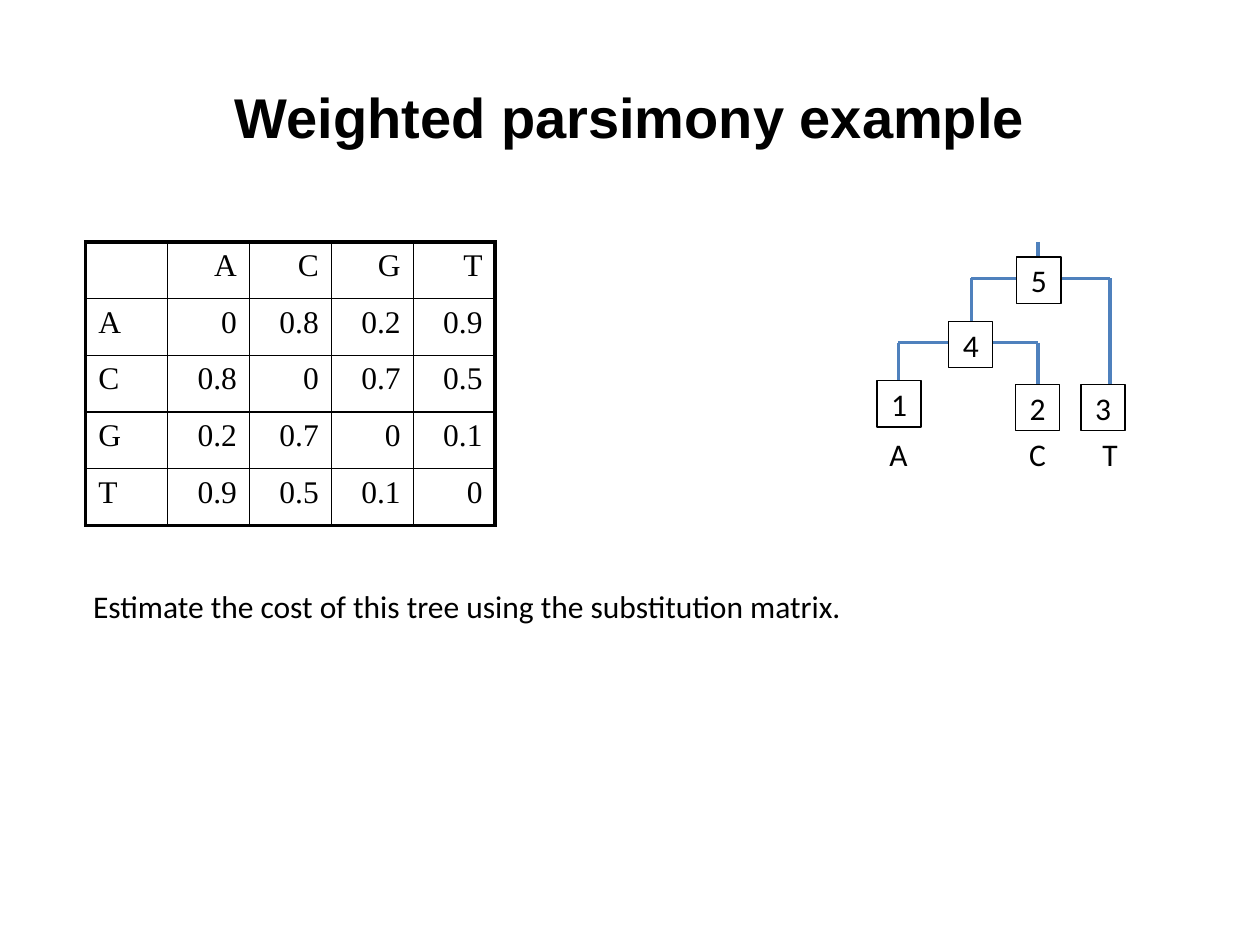
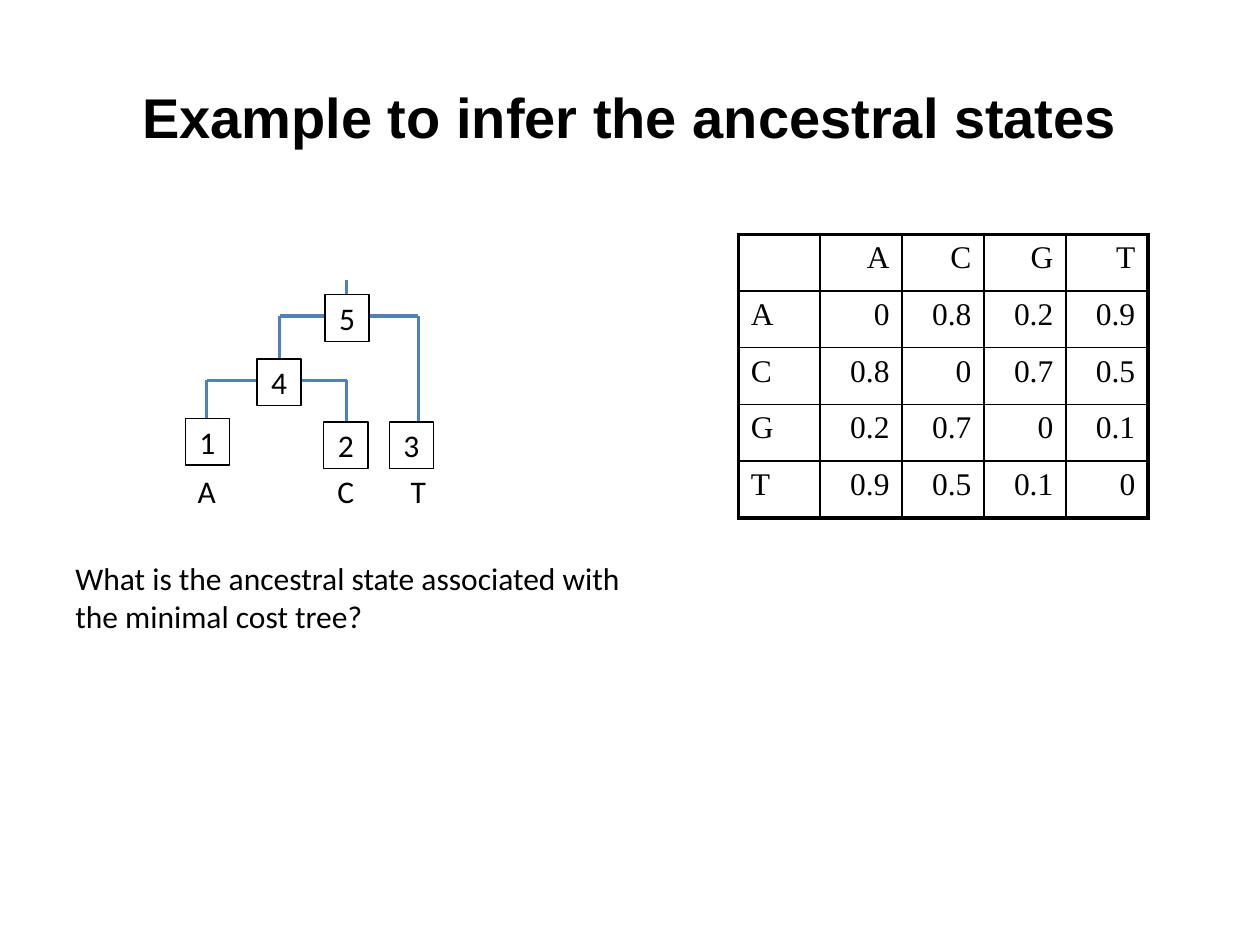
from lxml import etree
from pptx import Presentation
from pptx.dml.color import RGBColor
from pptx.enum import shapes, text
from pptx.oxml import ns
from pptx.util import Inches, Pt

BLACK = RGBColor(0, 0, 0)
WHITE = RGBColor(255, 255, 255)
BLUE = RGBColor(0x4F, 0x81, 0xBD)
TITLE_FONT, BODY_FONT, TABLE_FONT = "Arial", "Calibri", "Times New Roman"

# Content: places are (left, top) or (left, top, width, height) in inches
SLIDES = [
    dict(title="Weighted parsimony example",
         tree=(6.96, 1.92), matrix=(0.68, 1.92),
         prompt="Estimate the cost of this tree using the substitution matrix.",
         prompt_box=(0.64, 4.61, 6.2, 0.4), wrap=False),
    dict(title="Example to infer the ancestral states",
         tree=(1.47, 2.22), matrix=(5.86, 1.86),
         prompt="What is the ancestral state associated with the minimal cost tree?",
         prompt_box=(0.5, 4.39, 4.71, 0.71), wrap=True),
]
TITLE_BOX = (0.5, 0.3, 9, 1.25)

BASES = "ACGT"
COSTS = [
    (0, 0.8, 0.2, 0.9),
    (0.8, 0, 0.7, 0.5),
    (0.2, 0.7, 0, 0.1),
    (0.9, 0.5, 0.1, 0),
]
COL_W, ROW_H = 0.65, 0.45
THICK, THIN = 2.25, 1

# Tree geometry, relative to its top left corner
ROOT_X = 1.28
FORKS = [  # bar height, left x, right x, left end, right end
    (0.29, 0.75, 1.85, 0.79, 1.3),
    (0.8, 0.17, ROOT_X, 1.32, 1.3),
]
NODES = {"1": (0, 1.1), "2": (1.1, 1.13), "3": (1.62, 1.13),
         "4": (0.57, 0.63), "5": (1.11, 0.12)}
NODE_W, NODE_H = 0.35, 0.37
LEAVES = {"A": 0, "C": 1.11, "T": 1.69}
LEAF_Y, LEAF_W, LEAF_H = 1.48, 0.35, 0.4


def inches(values):
    return [Inches(v) for v in values]


def write(tf, words, font=BODY_FONT, size=18, bold=False, align=text.PP_ALIGN.LEFT):
    p = tf.paragraphs[0]
    p.text = words
    p.alignment = align
    p.font.name, p.font.size, p.font.bold = font, Pt(size), bold
    p.font.color.rgb = BLACK


def add_text(slide, box, words, wrap=False, **style):
    tf = slide.shapes.add_textbox(*inches(box)).text_frame
    tf.word_wrap = wrap
    write(tf, words, **style)
    return tf


def add_title(slide, words):
    tf = add_text(slide, TITLE_BOX, words, wrap=True, font=TITLE_FONT,
                  size=32, bold=True, align=text.PP_ALIGN.CENTER)
    tf.vertical_anchor = text.MSO_ANCHOR.MIDDLE


def add_branch(slide, x1, y1, x2, y2):
    line = slide.shapes.add_connector(
        shapes.MSO_CONNECTOR.STRAIGHT, *inches((x1, y1, x2, y2)))
    line.line.color.rgb = BLUE
    line.line.width = Pt(2)
    etree.SubElement(line._element.spPr, ns.qn("a:effectLst"))


def add_node(slide, x, y, name):
    sp = slide.shapes.add_shape(
        shapes.MSO_SHAPE.RECTANGLE, *inches((x, y, NODE_W, NODE_H)))
    sp.shadow.inherit = False
    sp.fill.solid()
    sp.fill.fore_color.rgb = WHITE
    sp.line.color.rgb = BLACK
    sp.line.width = Pt(0.75)
    tf = sp.text_frame
    tf.margin_left = tf.margin_right = 0
    tf.vertical_anchor = text.MSO_ANCHOR.MIDDLE
    write(tf, name, align=text.PP_ALIGN.CENTER)


def add_tree(slide, left, top):
    # Branches: the root stem, then a bar with two drops per fork
    branches = [(ROOT_X, 0, ROOT_X, FORKS[0][0])]
    for bar, x1, x2, end1, end2 in FORKS:
        branches += [(x1, bar, x2, bar), (x1, bar, x1, end1), (x2, bar, x2, end2)]
    for x1, y1, x2, y2 in branches:
        add_branch(slide, left + x1, top + y1, left + x2, top + y2)
    # Leaf states and numbered nodes
    for base, x in LEAVES.items():
        add_text(slide, (left + x, top + LEAF_Y, LEAF_W, LEAF_H), base)
    for name, (x, y) in NODES.items():
        add_node(slide, left + x, top + y, name)


def set_borders(cell, widths):
    tc_pr = cell._tc.get_or_add_tcPr()
    for side, width in zip("LRTB", widths):
        ln = etree.SubElement(tc_pr, ns.qn(f"a:ln{side}"), w=str(Pt(width)))
        fill = etree.SubElement(ln, ns.qn("a:solidFill"))
        etree.SubElement(fill, ns.qn("a:srgbClr"), val=str(BLACK))


def add_matrix(slide, left, top):
    rows = [("", *BASES)] + [(b, *costs) for b, costs in zip(BASES, COSTS)]
    n = len(rows)
    table = slide.shapes.add_table(
        n, n, *inches((left, top, n * COL_W, n * ROW_H))).table
    table.first_row = table.horz_banding = False
    for i in range(n):
        table.columns[i].width = Inches(COL_W)
        table.rows[i].height = Inches(ROW_H)
    for r, row in enumerate(rows):
        for c, value in enumerate(row):
            cell = table.cell(r, c)
            outer = (c == 0, c == n - 1, r == 0, r == n - 1)
            set_borders(cell, [THICK if edge else THIN for edge in outer])
            cell.fill.background()
            write(cell.text_frame, str(value), font=TABLE_FONT,
                  align=text.PP_ALIGN.RIGHT if c else text.PP_ALIGN.LEFT)


def main():
    prs = Presentation()
    prs.slide_width, prs.slide_height = Inches(10), Inches(7.5)
    for content in SLIDES:
        slide = prs.slides.add_slide(prs.slide_layouts[6])
        add_title(slide, content["title"])
        add_tree(slide, *content["tree"])
        add_matrix(slide, *content["matrix"])
        add_text(slide, content["prompt_box"], content["prompt"], wrap=content["wrap"])
    prs.save("out.pptx")


if __name__ == "__main__":
    main()
